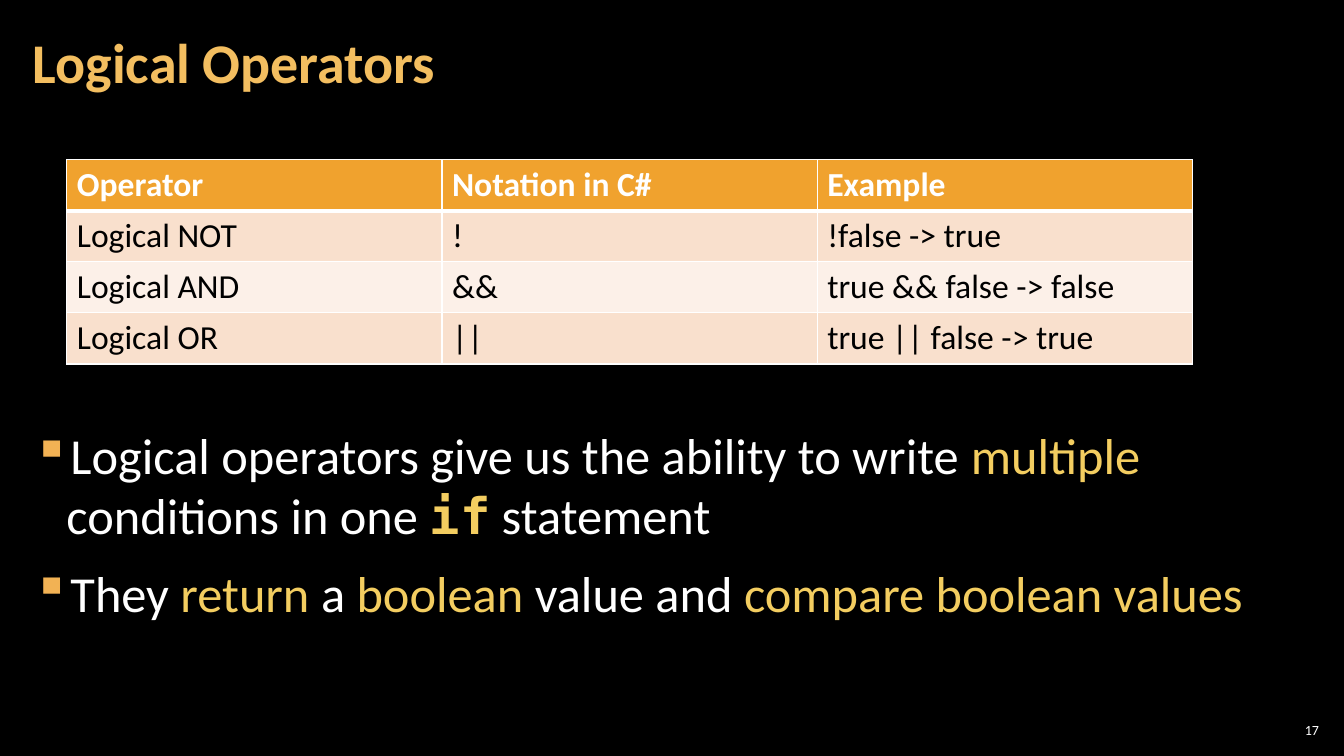
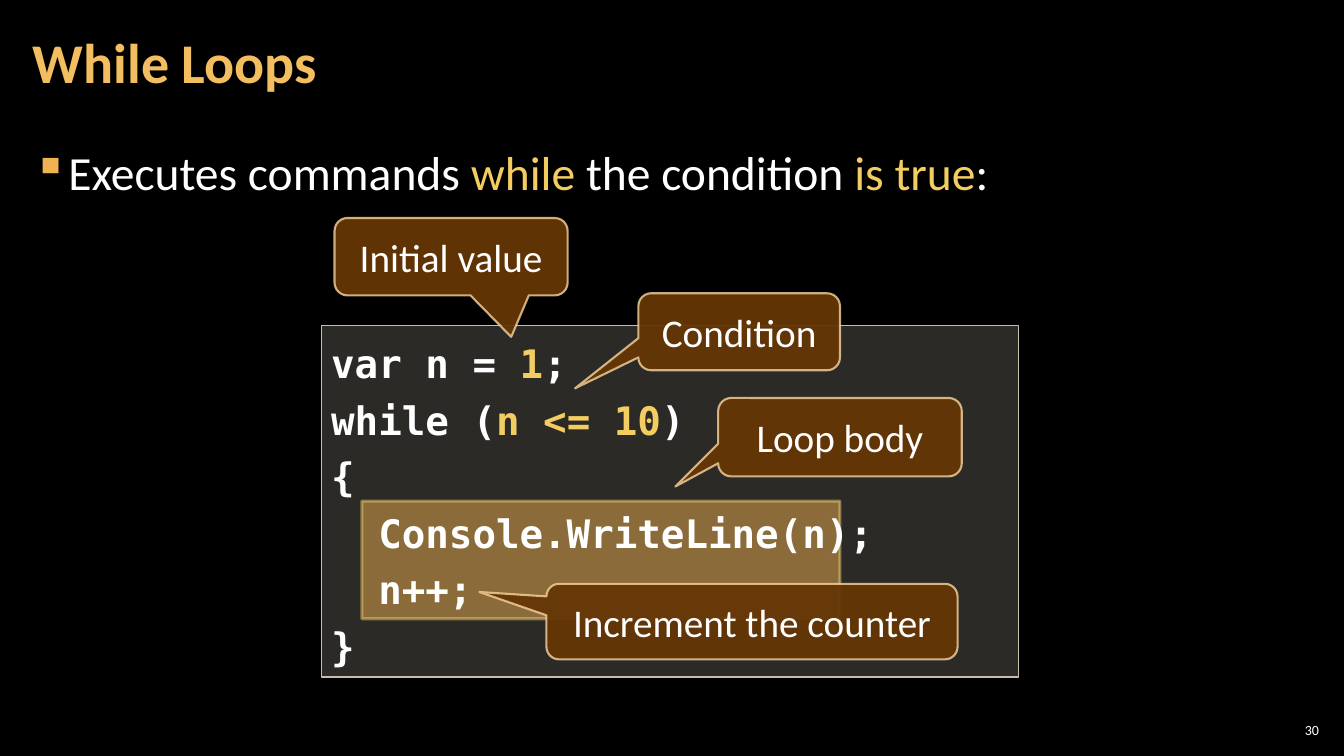
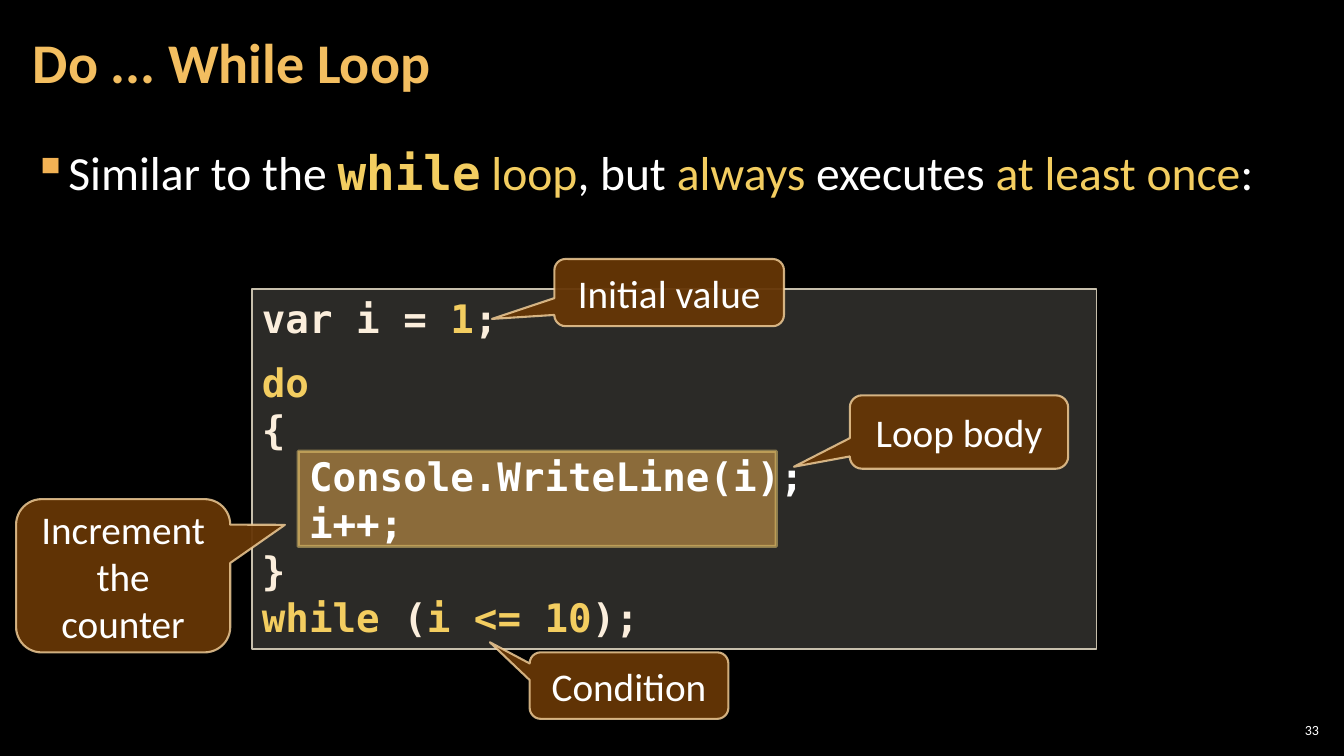
from pptx import Presentation
from pptx.dml.color import RGBColor
from pptx.enum.shapes import MSO_SHAPE
from pptx.enum.text import MSO_ANCHOR, MSO_AUTO_SIZE, PP_ALIGN
from pptx.oxml.ns import qn
from pptx.util import Pt
from lxml.etree import SubElement

BODY_FONT = "Calibri"
CODE_FONT = "DejaVu Sans Mono"
BLACK = "000000"
WHITE = "FFFFFF"
CREAM = "FBEEDC"
GOLD = "F3CD60"
TITLE_GOLD = "F3BE60"
BULLET_GOLD = "F2B254"
ORANGE = "F0A22E"
BROWN = "663606"
CALLOUT_LINE = "F8D49E"
PANEL = "D9D5C7"
PANEL_LINE = "C7BFAC"
BANDS = ["F9E0CD", "FCF0E8"]
FULL_BODY = (15, 95, 930, 434)


def color(hex_string):
    return RGBColor.from_string(hex_string)


def lengths(box):
    return [Pt(value) for value in box]


def style(font, size, hex_string, name=BODY_FONT, bold=False):
    font.name = name
    font.size = Pt(size)
    font.bold = bold
    font.color.rgb = color(hex_string)


def add_marked_runs(paragraph, text):
    """Text between asterisks is gold; a backtick at its start makes it code."""
    for index, part in enumerate(text.split("*")):
        if not part:
            continue
        run = paragraph.add_run()
        run.text = part.lstrip("`")
        if index % 2:
            run.font.color.rgb = color(GOLD)
        if part.startswith("`"):
            run.font.name = CODE_FONT
            run.font.bold = True


def paragraphs_for(frame, texts):
    """Yield one paragraph of the frame for each text."""
    for index, text in enumerate(texts):
        yield frame.add_paragraph() if index else frame.paragraphs[0], text


def add_text_frame(slide, box, side_margin, anchor):
    frame = slide.shapes.add_textbox(*lengths(box)).text_frame
    frame.word_wrap = True
    frame.vertical_anchor = anchor
    frame.margin_left = frame.margin_right = Pt(side_margin)
    frame.margin_top = frame.margin_bottom = Pt(2.83)
    return frame


def add_slide(presentation, title, number):
    slide = presentation.slides.add_slide(presentation.slide_layouts[6])
    slide.background.fill.solid()
    slide.background.fill.fore_color.rgb = color(BLACK)

    frame = add_text_frame(slide, (15, 3, 754, 87), 8.5, MSO_ANCHOR.MIDDLE)
    paragraph = frame.paragraphs[0]
    paragraph.text = title
    paragraph.line_spacing = 0.9
    style(paragraph.font, 40, TITLE_GOLD, bold=True)

    frame = add_text_frame(slide, (911, 514, 34, 15), 2.83, MSO_ANCHOR.MIDDLE)
    paragraph = frame.paragraphs[0]
    paragraph.text = str(number)
    paragraph.alignment = PP_ALIGN.RIGHT
    style(paragraph.font, 10, WHITE)
    return slide


def add_bullet(paragraph):
    properties = paragraph._p.get_or_add_pPr()
    properties.set("marL", str(Pt(24)))
    properties.set("indent", str(Pt(-24)))
    bullet_color = SubElement(properties, qn("a:buClr"))
    SubElement(bullet_color, qn("a:srgbClr"), val=BULLET_GOLD)
    SubElement(properties, qn("a:buChar"), char="▪")


def add_body(slide, box, texts, size=34, line_spacing=1.1):
    frame = add_text_frame(slide, box, 8.5, MSO_ANCHOR.TOP)
    for paragraph, text in paragraphs_for(frame, texts):
        add_bullet(paragraph)
        paragraph.line_spacing = line_spacing
        paragraph.space_before = Pt(0 if text == texts[0] else 6)
        paragraph.space_after = Pt(6)
        style(paragraph.font, size, WHITE)
        add_marked_runs(paragraph, text)


def set_opacity(solid_fill, percent):
    SubElement(solid_fill[0], qn("a:alpha"), val=str(percent * 1000))


def add_panel(slide, preset, box, fill, fill_opacity, line, width, line_opacity):
    shape = slide.shapes.add_shape(preset, *lengths(box))
    shape.shadow.inherit = False
    shape.fill.solid()
    shape.fill.fore_color.rgb = color(fill)
    shape.line.color.rgb = color(line)
    shape.line.width = Pt(width)
    properties = shape.element.spPr
    set_opacity(properties.find(qn("a:solidFill")), fill_opacity)
    set_opacity(properties.find(qn("a:ln")).find(qn("a:solidFill")), line_opacity)
    return shape


def add_highlight(slide, box):
    add_panel(slide, MSO_SHAPE.RECTANGLE, box, ORANGE, 50, GOLD, 2.25, 50)


def add_code(slide, box, lines, base_color, line_spacing=1.0, gap_before=None):
    """Indented lines are white; gap_before is the line with space above it."""
    shape = add_panel(slide, MSO_SHAPE.RECTANGLE, box, PANEL, 20, PANEL_LINE, 1, 100)
    frame = shape.text_frame
    frame.word_wrap = True
    frame.auto_size = MSO_AUTO_SIZE.SHAPE_TO_FIT_TEXT
    frame.vertical_anchor = MSO_ANCHOR.TOP
    for paragraph, line in paragraphs_for(frame, lines):
        paragraph.alignment = PP_ALIGN.LEFT
        paragraph.line_spacing = line_spacing
        if line == gap_before:
            paragraph.space_before = Pt(12)
        line_color = WHITE if line.startswith(" ") else base_color
        style(paragraph.font, 28, line_color, CODE_FONT, bold=True)
        add_marked_runs(paragraph, line)


def add_callout(slide, text, box, tip):
    """The tip is given from the centre, as shares of width and height."""
    shape = add_panel(slide, MSO_SHAPE.ROUNDED_RECTANGULAR_CALLOUT, box,
                      BROWN, 95, CALLOUT_LINE, 1.5, 80)
    for index, value in enumerate((*tip, 0.167)):
        shape.adjustments[index] = value
    frame = shape.text_frame
    frame.word_wrap = True
    frame.vertical_anchor = MSO_ANCHOR.MIDDLE
    paragraph = frame.paragraphs[0]
    paragraph.text = text
    paragraph.alignment = PP_ALIGN.CENTER
    style(paragraph.font, 28, WHITE)


def add_borders(cell, bottom_width):
    properties = cell._tc.get_or_add_tcPr()
    widths = {"a:lnL": 1, "a:lnR": 1, "a:lnT": 1, "a:lnB": bottom_width}
    for tag, width in widths.items():
        line = SubElement(properties, qn(tag), w=str(Pt(width)))
        SubElement(SubElement(line, qn("a:solidFill")), qn("a:srgbClr"), val=WHITE)


def add_table(slide, left, top, column_width, row_height, rows):
    columns = len(rows[0])
    box = (left, top, column_width * columns, row_height * len(rows))
    table = slide.shapes.add_table(len(rows), columns, *lengths(box)).table
    for row_index, row in enumerate(rows):
        header = row_index == 0
        for column_index, text in enumerate(row):
            cell = table.cell(row_index, column_index)
            add_borders(cell, 3 if header else 1)
            cell.fill.solid()
            fill = ORANGE if header else BANDS[(row_index - 1) % 2]
            cell.fill.fore_color.rgb = color(fill)
            paragraph = cell.text_frame.paragraphs[0]
            paragraph.text = text
            style(paragraph.font, 24, WHITE if header else BLACK, bold=header)


def add_logical_operators(presentation):
    slide = add_slide(presentation, "Logical Operators", 17)
    add_body(slide, (15, 300, 930, 222), [
        "Logical operators give us the ability to write *multiple* conditions"
        " in one *`if* statement",
        "They *return *a* boolean *value and *compare boolean values*",
    ], size=36, line_spacing=1.0)
    add_table(slide, 47.75, 114, 268, 36.5, [
        ["Operator", "Notation in C#", "Example"],
        ["Logical NOT", "!", "!false -> true"],
        ["Logical AND", "&&", "true && false -> false"],
        ["Logical OR", "||", "true || false -> true"],
    ])


def add_while_loops(presentation):
    slide = add_slide(presentation, "While Loops", 30)
    add_body(slide, FULL_BODY,
             ["Executes commands *while* the condition *is true*:"])
    add_highlight(slide, (258.5, 358, 341.5, 84))
    add_code(slide, (229.5, 232.3, 498, 251.3), [
        "var n = *1*;",
        "while (*n <= 10*)",
        "{",
        "  Console.WriteLine(n);",
        "  n++;",
        "}",
    ], WHITE, line_spacing=1.2)
    for callout in [
        ("Loop body", (513, 284.3, 174, 56), (-0.676, 0.63)),
        ("Condition", (456, 209.5, 144, 55), (-0.814, 0.735)),
        ("Initial value", (239, 155.7, 166.5, 55.3), (0.258, 1.036)),
        ("Increment the counter", (390.3, 417, 293.7, 54), (-0.663, -0.391)),
    ]:
        add_callout(slide, *callout)


def add_do_while_loop(presentation):
    slide = add_slide(presentation, "Do ... While Loop", 33)
    add_body(slide, FULL_BODY, [
        "Similar to the *`while** loop*, but *always* executes *at least once*:",
    ])
    add_highlight(slide, (213, 322.3, 341.5, 68))
    add_code(slide, (180, 206.6, 603.4, 257), [
        "var i = *1*;",
        "*do*",
        "{",
        "  Console.WriteLine(i);",
        "  i++;",
        "}",
        "*while* (*i <= 10*);",
    ], CREAM, gap_before="*do*")
    for callout in [
        ("Loop body", (607, 282.4, 156, 52.4), (-0.756, 0.473)),
        ("Condition", (378.3, 466, 142, 47.5), (-0.7, -0.652)),
        ("Initial value", (396, 185, 164, 48), (-0.772, 0.392)),
        ("Increment the counter", (11.5, 356.5, 153, 109.5), (0.755, -0.332)),
    ]:
        add_callout(slide, *callout)


def main():
    presentation = Presentation()
    presentation.slide_width = Pt(960)
    presentation.slide_height = Pt(540)
    add_logical_operators(presentation)
    add_while_loops(presentation)
    add_do_while_loop(presentation)
    presentation.save("out.pptx")


if __name__ == "__main__":
    main()
